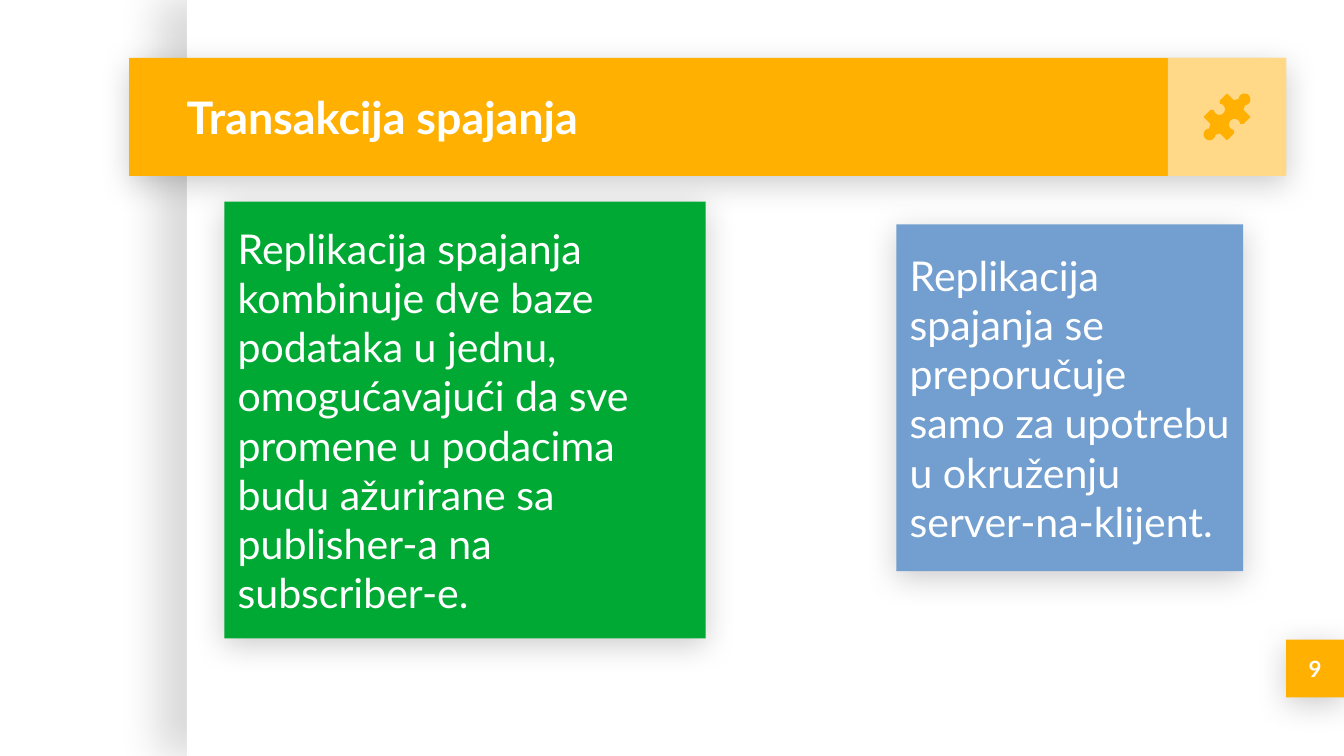
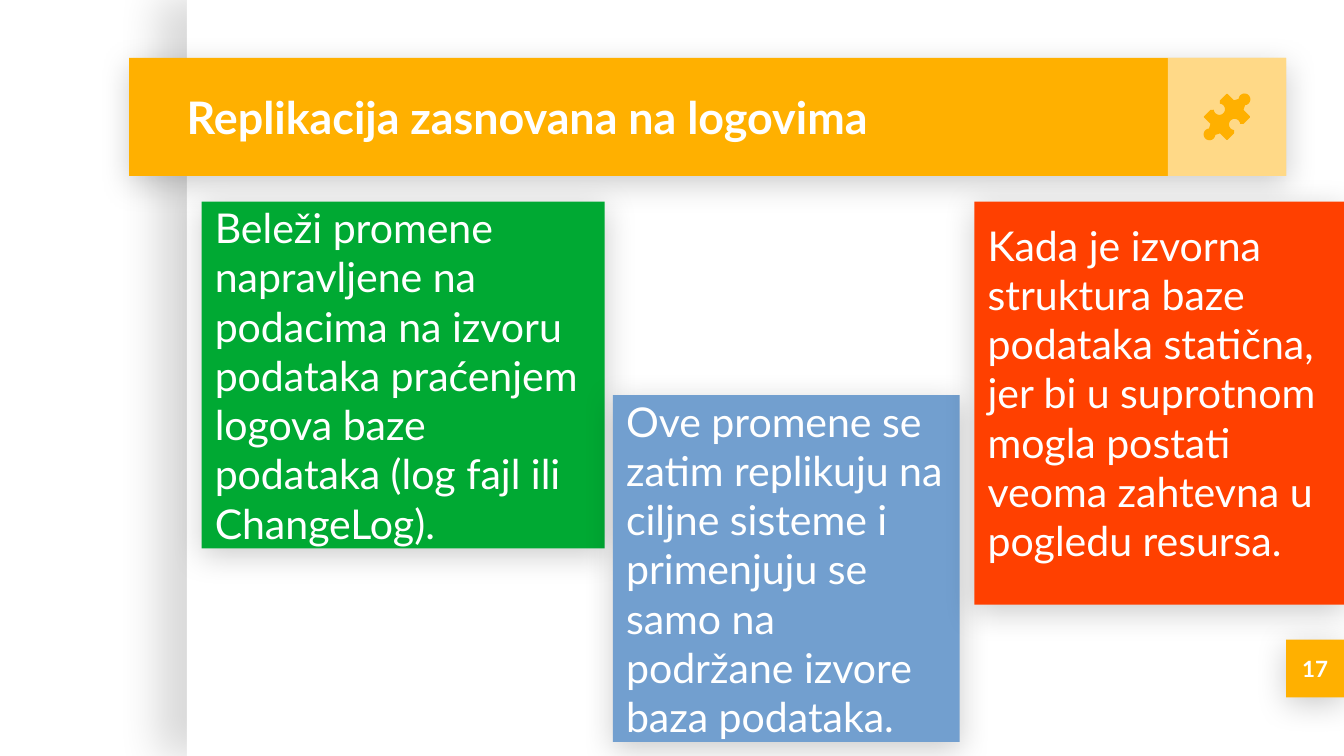
from dataclasses import dataclass
from math import cos, radians, sin

from lxml import etree
from pptx import Presentation
from pptx.dml.color import RGBColor
from pptx.enum import shapes, text as txt
from pptx.oxml import ns
from pptx.util import Inches, Pt


@dataclass(frozen=True)
class Shade:
    dark: int
    blur: float
    dist: float
    turn: int


@dataclass(frozen=True)
class Theme:
    font: str = "Lato"
    white: str = "FFFFFF"
    black: str = "000000"
    gold: str = "FFB000"
    green: str = "00A933"
    blue: str = "729FCF"
    red: str = "FF4000"
    title: int = 24
    body: int = 22
    page: int = 12
    pad: float = 0.1
    drop: Shade = Shade(dark=20, blur=16.9, dist=3.7, turn=90)
    side: Shade = Shade(dark=15, blur=22.5, dist=15, turn=180)


@dataclass(frozen=True)
class Card:
    at: tuple
    fill: str
    words: str
    foot: float = 0.1


@dataclass(frozen=True)
class Bulb:
    sign: int
    reach: float
    size: float


T = Theme()

SLIDES = [
    {
        "title": "Transakcija spajanja",
        "page": "9",
        "cards": [
            Card((1.67, 1.5, 3.58, 3.25), T.green,
                 "Replikacija spajanja kombinuje dve baze podataka u jednu, "
                 "omogućavajući da sve promene u podacima budu ažurirane sa "
                 "publisher-a na subscriber-e."),
            Card((6.67, 1.67, 2.58, 2.58), T.blue,
                 "Replikacija spajanja se preporučuje samo za upotrebu u "
                 "okruženju server-na-klijent."),
        ],
    },
    {
        "title": "Replikacija zasnovana na logovima",
        "page": "17",
        "cards": [
            Card((1.5, 1.5, 3, 2.58), T.green,
                 "Beleži promene napravljene na podacima na izvoru podataka "
                 "praćenjem logova baze podataka (log fajl ili ChangeLog)."),
            Card((4.56, 2.94, 2.58, 2.58), T.blue,
                 "Ove promene se zatim replikuju na ciljne sisteme i "
                 "primenjuju se samo na podržane izvore baza podataka."),
            Card((7.25, 1.5, 2.75, 3), T.red,
                 "Kada je izvorna struktura baze podataka statična, jer bi u "
                 "suprotnom mogla postati veoma zahtevna u pogledu resursa.",
                 foot=0.26),
        ],
    },
]

WIDE, HIGH = 10, 5.625
UNIT, BAR = 0.43, 0.88
EDGE = WIDE - UNIT
LEFT, FOLD = 0.96, 1.39

SHEET = (FOLD, 0, WIDE - FOLD, HIGH)
BADGE = (EDGE, 4.76, UNIT, UNIT)
BAND = (LEFT, UNIT, EDGE - LEFT, BAR)
TILE = (EDGE - BAR, UNIT, BAR, BAR)
TITLE = (FOLD - T.pad, UNIT, 7.37, BAR)

FRAME = [
    (SHEET, T.white, {"shade": T.side}),
    (BADGE, T.gold, {"shade": T.drop}),
    (BAND, T.gold, {"shade": T.drop}),
    (TILE, T.white, {"alpha": 53}),
]

SCALE = 0.01
HALF, CORNER, NECK = 12.4, 11.8, 5
OPEN, STEP = 130, 20
KNOB = Bulb(sign=1, reach=6, size=4.4)
SOCKET = Bulb(sign=-1, reach=4.4, size=4.2)
SIDES = [(-45, KNOB), (45, SOCKET), (135, KNOB), (225, SOCKET)]


def place(at):
    return [Inches(n) for n in at]


def child(node, tag, **attrs):
    return etree.SubElement(node, ns.qn(tag),
                            {k: str(v) for k, v in attrs.items()})


def cast(shape, shade):
    effects = shape._element.spPr.find(ns.qn("a:effectLst"))
    glow = child(effects, "a:outerShdw", blurRad=Pt(shade.blur),
                 dist=Pt(shade.dist), dir=shade.turn * 60000,
                 algn="bl", rotWithShape=0)
    tint = child(glow, "a:srgbClr", val=T.black)
    child(tint, "a:alpha", val=shade.dark * 1000)


def paint(shape, fill, alpha=None, shade=None):
    shape.fill.solid()
    shape.fill.fore_color.rgb = RGBColor.from_string(fill)
    shape.line.fill.background()
    shape.shadow.inherit = False
    if alpha:
        tint = shape._element.spPr.find(".//" + ns.qn("a:srgbClr"))
        child(tint, "a:alpha", val=alpha * 1000)
    if shade:
        cast(shape, shade)
    return shape


def block(slide, at, fill, **look):
    kind = shapes.MSO_SHAPE.RECTANGLE
    return paint(slide.shapes.add_shape(kind, *place(at)), fill, **look)


def write(shape, words, size=T.body, bold=False, align="LEFT", foot=T.pad):
    frame = shape.text_frame
    frame.word_wrap = True
    frame.vertical_anchor = txt.MSO_ANCHOR.MIDDLE
    frame.margin_left = frame.margin_right = frame.margin_top = Inches(T.pad)
    frame.margin_bottom = Inches(foot)
    para = frame.paragraphs[0]
    para.alignment = txt.PP_ALIGN[align]
    run = para.add_run()
    run.text = words
    run.font.name = T.font
    run.font.size = Pt(size)
    run.font.bold = bold
    run.font.color.rgb = RGBColor.from_string(T.white)


def profile(bulb):
    arc = [(bulb.size * sin(radians(a)),
            bulb.sign * (bulb.reach + bulb.size * cos(radians(a))))
           for a in range(-OPEN, OPEN + 1, STEP)]
    return [(-CORNER, 0), (-NECK, 0), *arc, (NECK, 0), (CORNER, 0)]


def outline(mid_x, mid_y):
    for turn, bulb in SIDES:
        c, s = cos(radians(turn)), sin(radians(turn))
        for along, out in profile(bulb):
            far = HALF + out
            yield (Inches(mid_x + SCALE * (far * c - along * s)),
                   Inches(mid_y + SCALE * (far * s + along * c)))


def puzzle(slide):
    left, top, width, height = TILE
    start, *rest = outline(left + width / 2, top + height / 2)
    pen = slide.shapes.build_freeform(*start)
    pen.add_line_segments(rest, close=True)
    paint(pen.convert_to_shape(), T.gold)


def base(slide, title, page):
    for at, fill, look in FRAME:
        block(slide, at, fill, **look)
    write(slide.shapes.add_textbox(*place(TITLE)), title,
          size=T.title, bold=True)
    write(slide.shapes.add_textbox(*place(BADGE)), page,
          size=T.page, bold=True, align="CENTER")
    puzzle(slide)


def main():
    deck = Presentation()
    deck.slide_width, deck.slide_height = Inches(WIDE), Inches(HIGH)
    for data in SLIDES:
        slide = deck.slides.add_slide(deck.slide_layouts[6])
        base(slide, data["title"], data["page"])
        for card in data["cards"]:
            box = block(slide, card.at, card.fill, shade=T.drop)
            write(box, card.words, foot=card.foot)
    deck.save("out.pptx")


if __name__ == "__main__":
    main()
